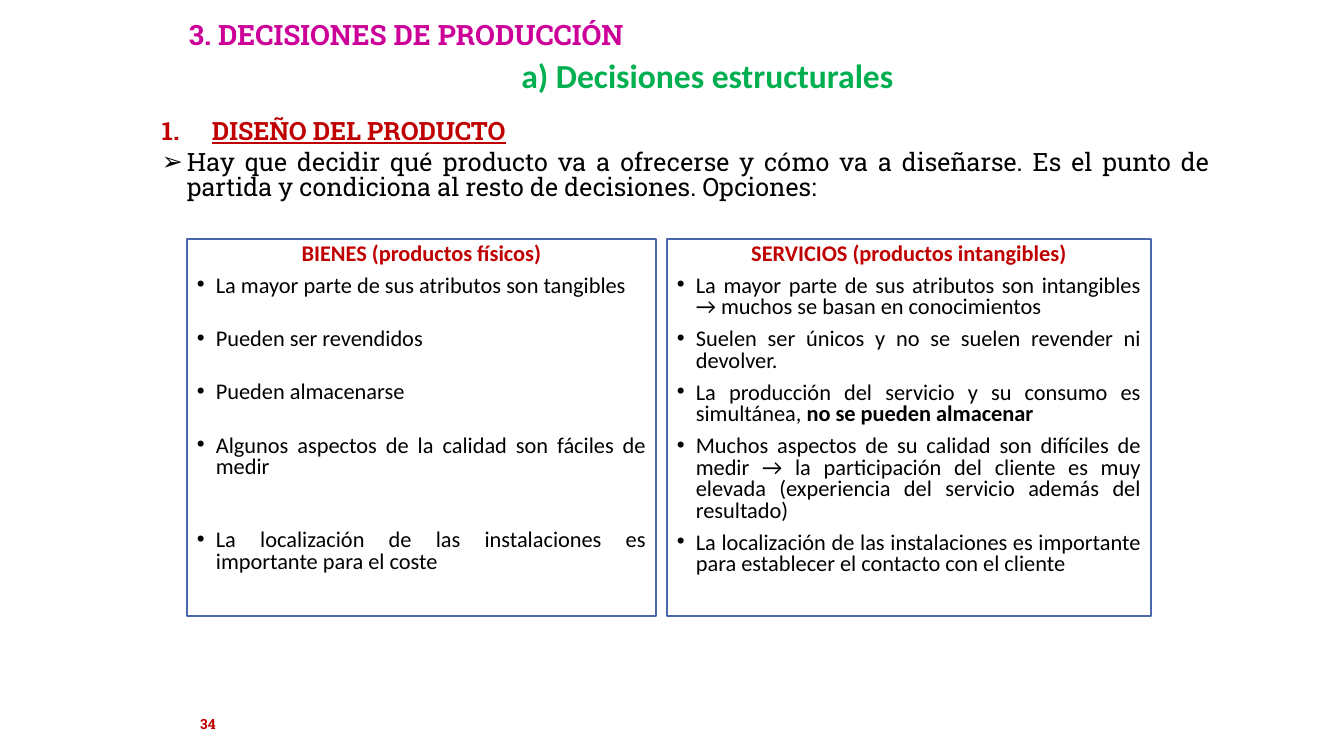
from dataclasses import dataclass
from lxml import etree
from pptx import Presentation
from pptx.dml.color import RGBColor
from pptx.enum.shapes import MSO_SHAPE
from pptx.enum.text import MSO_ANCHOR, PP_ALIGN
from pptx.oxml.ns import qn
from pptx.util import Pt

LEFT, MID, JUST = PP_ALIGN.LEFT, PP_ALIGN.CENTER, PP_ALIGN.JUSTIFY
TOP, CENTER = MSO_ANCHOR.TOP, MSO_ANCHOR.MIDDLE
RECT = MSO_SHAPE.RECTANGLE

TITLE = "3. DECISIONES DE PRODUCCIÓN"
TOPIC = "a) Decisiones estructurales"
HEAD = "DISEÑO DEL PRODUCTO"
INTRO = ("Hay que decidir qué producto va a ofrecerse y cómo va a diseñarse. "
         "Es el punto de partida y condiciona al resto de decisiones. Opciones:")
PAGE = "34"
GAP, WIDE, TALL = 7.5, 22.8, 36.5
PANELS = [
    {"left": 187, "width": 469, "head": "BIENES (productos físicos)", "items": [
        ("La mayor parte de sus atributos son tangibles", GAP),
        ("Pueden ser revendidos", WIDE),
        ("Pueden almacenarse", WIDE),
        ("Algunos aspectos de la calidad son fáciles de medir", WIDE),
        ("La localización de las instalaciones es importante para el coste", TALL),
    ]},
    {"left": 667, "width": 484, "head": "SERVICIOS (productos intangibles)", "items": [
        ("La mayor parte de sus atributos son intangibles → "
         "muchos se basan en conocimientos", GAP),
        ("Suelen ser únicos y no se suelen revender ni devolver.", GAP),
        ("La producción del servicio y su consumo es simultánea, "
         "*no se pueden almacenar*", GAP),
        ("Muchos aspectos de su calidad son difíciles de medir → "
         "la participación del cliente es muy elevada "
         "(experiencia del servicio además del resultado)", GAP),
        ("La localización de las instalaciones es importante "
         "para establecer el contacto con el cliente", GAP),
    ]},
]


@dataclass(frozen=True)
class Theme:
    slab: str = "Roboto Slab"
    sans: str = "Calibri"
    pink: str = "CC0099"
    green: str = "00B050"
    red: str = "C00000"
    black: str = "000000"
    white: str = "FFFFFF"
    blue: str = "4A66AC"
    title: int = 20
    topic: int = 24
    body: int = 18
    item: int = 16
    page: int = 10


T = Theme()


def px(n):
    return round(n * 914400 / 100.8)


def rgb(code):
    return RGBColor.from_string(code)


def write(frame, text, size=T.item, face=T.sans, color=T.black, bold=False,
          under=False, align=LEFT, before=0, space=None, mark=None,
          number=False, margin=0, hang=0):
    first = frame.paragraphs[0]
    para = frame.add_paragraph() if first.runs else first
    props = para._p.get_or_add_pPr()
    props.set("marL", str(px(margin)))
    props.set("indent", str(-px(hang)))
    if number:
        etree.SubElement(props, qn("a:buFont"), typeface="+mj-lt")
        etree.SubElement(props, qn("a:buAutoNum"), type="arabicPeriod")
    elif mark:
        etree.SubElement(props, qn("a:buFont"), typeface="Arial")
        etree.SubElement(props, qn("a:buChar"), char=mark)
    else:
        etree.SubElement(props, qn("a:buNone"))
    para.alignment = align
    para.space_before = Pt(before)
    if space:
        para.line_spacing = space
    for i, part in enumerate(text.split("*")):
        if part:
            run = para.add_run()
            run.text = part
            font = run.font
            font.size, font.name = Pt(size), face
            font.bold, font.underline = bold or i % 2 == 1, under
            font.color.rgb = rgb(color)


def box(slide, left, top, width, height, anchor=TOP):
    area = slide.shapes.add_textbox(px(left), px(top), px(width), px(height))
    frame = area.text_frame
    frame.word_wrap = True
    frame.vertical_anchor = anchor
    return frame


def panel(slide, data):
    shape = slide.shapes.add_shape(
        RECT, px(data["left"]), px(239), px(data["width"]), px(377))
    shape.shadow.inherit = False
    shape.fill.solid()
    shape.fill.fore_color.rgb = rgb(T.white)
    shape.line.color.rgb = rgb(T.blue)
    shape.line.width = Pt(1)
    frame = shape.text_frame
    frame.word_wrap = True
    frame.vertical_anchor = TOP
    shared = {"space": 0.8, "margin": 19, "hang": 19}
    write(frame, data["head"], color=T.red, bold=True, align=MID, **shared)
    for text, gap in data["items"]:
        write(frame, text, align=JUST, before=gap, mark="•", **shared)


def main():
    deck = Presentation()
    deck.slide_width, deck.slide_height = px(1344), px(756)
    slide = deck.slides.add_slide(deck.slide_layouts[6])
    write(box(slide, 172, 704, 72, 39, CENTER), PAGE, size=T.page,
          face=T.slab, color=T.red, bold=True, align=MID)
    body = box(slide, 101, 116, 1119, 596)
    shared = {"size": T.body, "face": T.slab, "align": JUST, "space": 0.81}
    write(body, HEAD, color=T.red, bold=True, under=True, number=True,
          margin=101, hang=50, **shared)
    write(body, INTRO, before=5, mark="➢", margin=76, hang=25, **shared)
    for data in PANELS:
        panel(slide, data)
    write(box(slide, 179, 13, 973, 44), TITLE, size=T.title,
          face=T.slab, color=T.pink, bold=True)
    write(box(slide, 402, 50, 611, 50), TOPIC, size=T.topic,
          color=T.green, bold=True, align=MID)
    deck.save("out.pptx")


if __name__ == "__main__":
    main()
